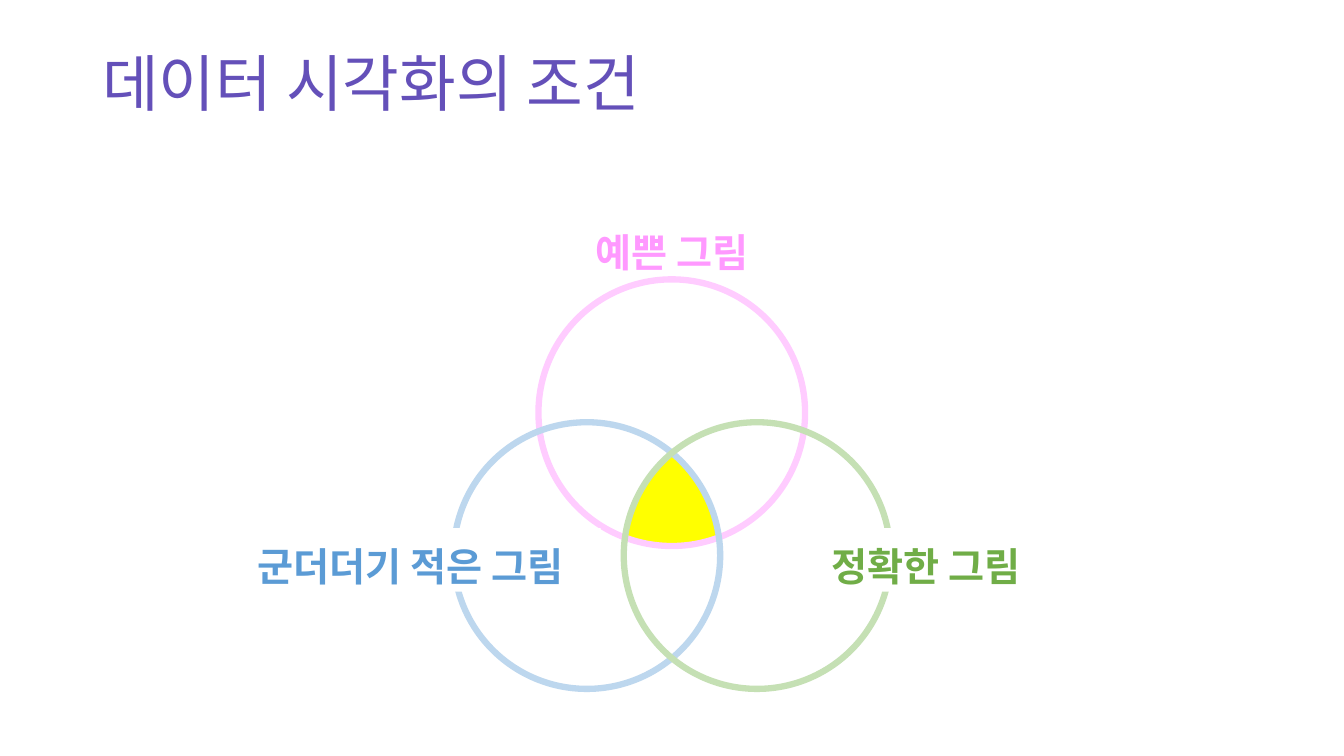
from math import cos, radians, sin

from lxml import etree
from pptx import Presentation
from pptx.dml.color import RGBColor
from pptx.enum.shapes import MSO_SHAPE
from pptx.enum.text import MSO_ANCHOR, PP_ALIGN
from pptx.oxml.ns import qn
from pptx.util import Cm, Pt

OVAL, RECT = MSO_SHAPE.OVAL, MSO_SHAPE.RECTANGLE
MIDDLE, TOP = MSO_ANCHOR.MIDDLE, MSO_ANCHOR.TOP
LEFT, CENTER = PP_ALIGN.LEFT, PP_ALIGN.CENTER

PURPLE = RGBColor(0x64, 0x50, 0xB9)
YELLOW = RGBColor(0xFF, 0xFF, 0x00)
WHITE = RGBColor(0xFF, 0xFF, 0xFF)
PINK = RGBColor(0xFF, 0x99, 0xFF)
PALE_PINK = RGBColor(0xFF, 0xCC, 0xFF)
BLUE = RGBColor(0x5B, 0x9B, 0xD5)
PALE_BLUE = RGBColor(0xBD, 0xD7, 0xEE)
GREEN = RGBColor(0x70, 0xAD, 0x47)
PALE_GREEN = RGBColor(0xC5, 0xE0, 0xB4)

RADIUS = 3.36
LABEL_HEIGHT = 1.6
PRETTY, CLEAN, ACCURATE = (16.93, 10.4), (14.79, 14), (19.08, 14)


class VennSlide:
    """Draws the elements of a Venn diagram slide in one style."""

    font = "Noto Sans CJK KR"

    def __init__(self, prs):
        self.s = prs.slides.add_slide(prs.slide_layouts[6])

    def add_text(self, sp, text, size, color, bold, align, anchor, spacing):
        tf = sp.text_frame
        tf.word_wrap = True
        tf.vertical_anchor = anchor
        p = tf.paragraphs[0]
        p.alignment, p.line_spacing = align, spacing
        r = p.add_run()
        r.text = text
        for font in (p.font, r.font):
            font.name, font.size, font.bold = self.font, Pt(size), bold
            font.color.rgb = color
        ea = etree.SubElement(r._r.get_or_add_rPr(), qn("a:ea"))
        ea.set("typeface", self.font)

    def title(self, text):
        sp = self.s.shapes.add_textbox(Cm(2.33), Cm(1.01), Cm(29.21), Cm(2.34))
        self.add_text(sp, text, 44, PURPLE, False, LEFT, MIDDLE, 0.9)

    def overlap(self, arcs):
        points = [(Cm(x + RADIUS * cos(radians(a))), Cm(y + RADIUS * sin(radians(a))))
                  for (x, y), start, end in arcs
                  for a in (start + (end - start) * i / 24 for i in range(25))]
        builder = self.s.shapes.build_freeform(*points[0])
        builder.add_line_segments(points[1:])
        sp = builder.convert_to_shape()
        sp.shadow.inherit = False
        sp.fill.solid()
        sp.fill.fore_color.rgb = YELLOW
        sp.line.fill.background()

    def circle(self, group, center, color):
        x, y = center
        sp = group.shapes.add_shape(OVAL, Cm(x - RADIUS), Cm(y - RADIUS),
                                    Cm(2 * RADIUS), Cm(2 * RADIUS))
        sp.shadow.inherit = False
        sp.fill.background()
        sp.line.color.rgb = color
        sp.line.width = Pt(4.5)

    def label(self, group, text, left, top, width, color, masked):
        box = Cm(left), Cm(top), Cm(width), Cm(LABEL_HEIGHT)
        if masked:
            sp = group.shapes.add_shape(RECT, *box)
            sp.shadow.inherit = False
            sp.fill.solid()
            sp.fill.fore_color.rgb = WHITE
            sp.line.fill.background()
        else:
            sp = group.shapes.add_textbox(*box)
        self.add_text(sp, text, 28, color, True, CENTER, TOP, 1.2)

    def condition(self, center, pale, text, left, top, width, color, masked):
        group = self.s.shapes.add_group_shape()
        self.circle(group, center, pale)
        self.label(group, text, left, top, width, color, masked)


def main():
    prs = Presentation()
    prs.slide_width, prs.slide_height = Cm(33.87), Cm(19.05)
    venn = VennSlide(prs)
    venn.title("데이터 시각화의 조건")
    venn.overlap([(CLEAN, -50, -8), (PRETTY, 69.5, 110.5), (ACCURATE, 188, 230)])
    for condition in (
        (PRETTY, PALE_PINK, "예쁜 그림", 14.58, 5.38, 4.7, PINK, False),
        (CLEAN, PALE_BLUE, "군더더기 적은 그림", 5.56, 13.31, 9.58, BLUE, True),
        (ACCURATE, PALE_GREEN, "정확한 그림", 19.08, 13.31, 8.51, GREEN, True),
    ):
        venn.condition(*condition)
    prs.save("out.pptx")


if __name__ == "__main__":
    main()
